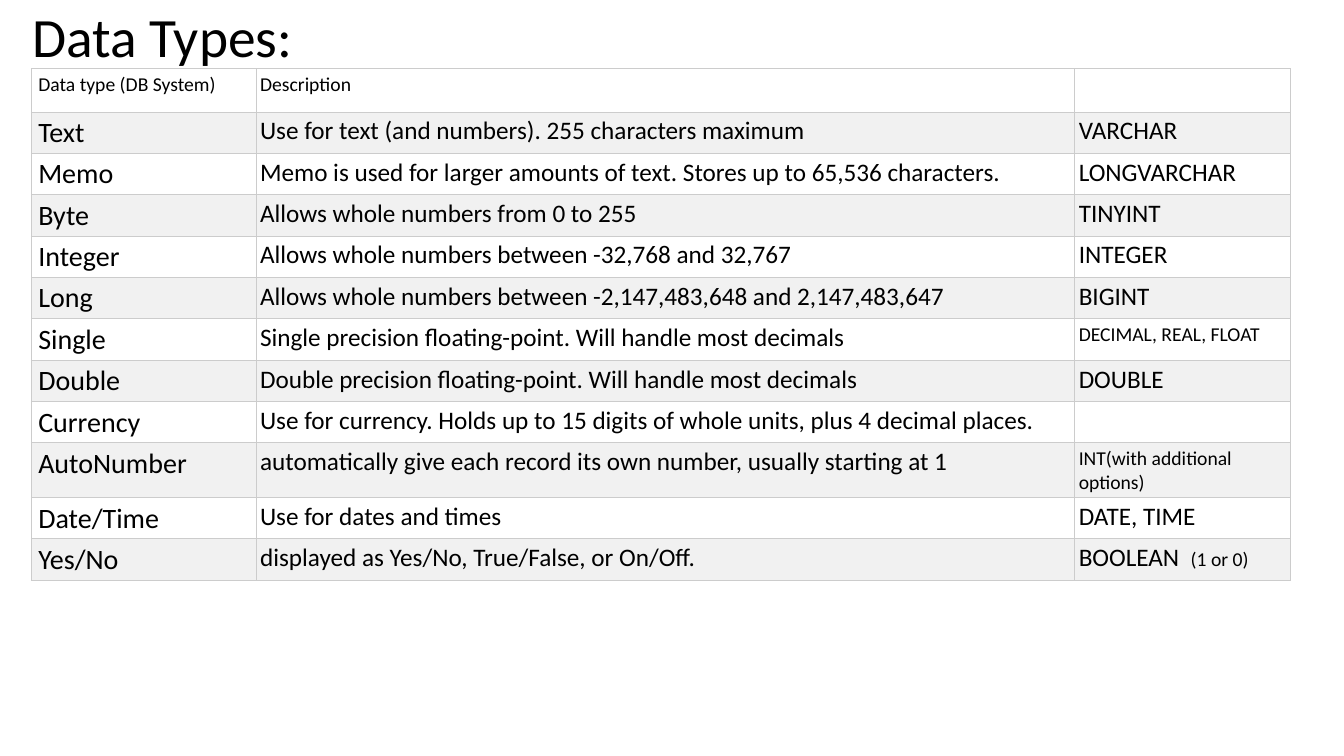
from dataclasses import dataclass

from lxml import etree
from pptx import Presentation
from pptx.dml.color import RGBColor
from pptx.enum.text import MSO_ANCHOR, MSO_AUTO_SIZE, PP_ALIGN
from pptx.oxml.ns import qn
from pptx.slide import Slide
from pptx.table import _Cell
from pptx.text.text import _Run
from pptx.util import Inches, Pt

LEFT = PP_ALIGN.LEFT
MIDDLE = MSO_ANCHOR.MIDDLE
NO_FIT = MSO_AUTO_SIZE.NONE
TITLE_ONLY = 5

FONT = "Calibri"
COLORS = {"text": "000000", "plain": "FFFFFF", "band": "F1F1F1", "border": "CCCCCC"}
WIDTHS = (2.23, 8.12, 2.14)
INDENTS = (0.07, 0.04, 0.04)
SMALL, MEDIUM, LARGE = 14, 18, 20


@dataclass
class Entry:
    name: str
    usage: str
    sql: str = ""
    note: str = ""
    sizes: tuple[float, float, float] = (LARGE, MEDIUM, MEDIUM)
    height: float = 0.41


ENTRIES = [
    Entry("Data type (DB System)", "Description", sizes=(SMALL, SMALL, SMALL), height=0.43),
    Entry("Text", "Use for text (and numbers). 255 characters maximum", "VARCHAR"),
    Entry("Memo", "Memo is used for larger amounts of text. Stores up to 65,536 characters.",
          "LONGVARCHAR"),
    Entry("Byte", "Allows whole numbers from 0 to 255", "TINYINT"),
    Entry("Integer", "Allows whole numbers between -32,768 and 32,767", "INTEGER"),
    Entry("Long", "Allows whole numbers between -2,147,483,648 and 2,147,483,647", "BIGINT"),
    Entry("Single", "Single precision floating-point. Will handle most decimals",
          "DECIMAL, REAL, FLOAT", sizes=(LARGE, MEDIUM, SMALL)),
    Entry("Double", "Double precision floating-point. Will handle most decimals", "DOUBLE"),
    Entry("Currency",
          "Use for currency. Holds up to 15 digits of whole units, plus 4 decimal places."),
    Entry("AutoNumber", "automatically give each record its own number, usually starting at 1",
          "INT(with additional options)", sizes=(LARGE, MEDIUM, SMALL), height=0.54),
    Entry("Date/Time", "Use for dates and times", "DATE, TIME"),
    Entry("Yes/No", "displayed as Yes/No, True/False, or On/Off.", "BOOLEAN  ", "(1 or 0)"),
]


def style_run(run: _Run, size: float) -> None:
    run.font.name = FONT
    run.font.size = Pt(size)
    run.font.color.rgb = RGBColor.from_string(COLORS["text"])


def add_borders(cell: _Cell) -> None:
    """Outline the cell; border elements must precede the fill."""
    props = cell._tc.get_or_add_tcPr()
    for index, side in enumerate(("lnL", "lnR", "lnT", "lnB")):
        line = etree.Element(qn(f"a:{side}"), w=str(Pt(0.6)))
        fill = etree.SubElement(line, qn("a:solidFill"))
        etree.SubElement(fill, qn("a:srgbClr"), val=COLORS["border"])
        props.insert(index, line)


def fill_cell(cell: _Cell, text: str, size: float, indent: float, color: str) -> None:
    cell.margin_left = Inches(indent)
    cell.margin_right = cell.margin_top = Inches(0.04)
    cell.margin_bottom = Inches(0.03)
    cell.fill.solid()
    cell.fill.fore_color.rgb = RGBColor.from_string(color)
    add_borders(cell)
    if text:
        cell.text_frame.text = text
        style_run(cell.text_frame.paragraphs[0].runs[0], size)


def add_title(slide: Slide, text: str) -> None:
    title = slide.shapes.title
    title.left, title.top = Inches(0.22), Inches(0.15)
    title.width, title.height = Inches(11.5), Inches(0.48)
    frame = title.text_frame
    frame.text = text
    frame.auto_size = NO_FIT
    frame.vertical_anchor = MIDDLE
    line = frame.paragraphs[0]
    line.alignment = LEFT
    line.line_spacing = 0.9
    style_run(line.runs[0], 39.6)


def add_types(slide: Slide, entries: list[Entry]) -> None:
    height = sum(entry.height for entry in entries)
    table = slide.shapes.add_table(
        len(entries), len(WIDTHS), Inches(0.31), Inches(0.68),
        Inches(sum(WIDTHS)), Inches(height)).table
    table.first_row = table.horz_banding = False
    for column, width in zip(table.columns, WIDTHS):
        column.width = Inches(width)
    for index, (row, entry) in enumerate(zip(table.rows, entries)):
        row.height = Inches(entry.height)
        color = COLORS["band" if index % 2 else "plain"]
        texts = (entry.name, entry.usage, entry.sql)
        for cell, text, size, indent in zip(row.cells, texts, entry.sizes, INDENTS):
            fill_cell(cell, text, size, indent, color)
        if entry.note:
            run = row.cells[2].text_frame.paragraphs[0].add_run()
            run.text = entry.note
            style_run(run, SMALL)


def main() -> None:
    deck = Presentation()
    deck.slide_width, deck.slide_height = Inches(13.33), Inches(7.5)
    slide = deck.slides.add_slide(deck.slide_layouts[TITLE_ONLY])
    add_title(slide, "Data Types:")
    add_types(slide, ENTRIES)
    deck.save("out.pptx")


if __name__ == "__main__":
    main()
